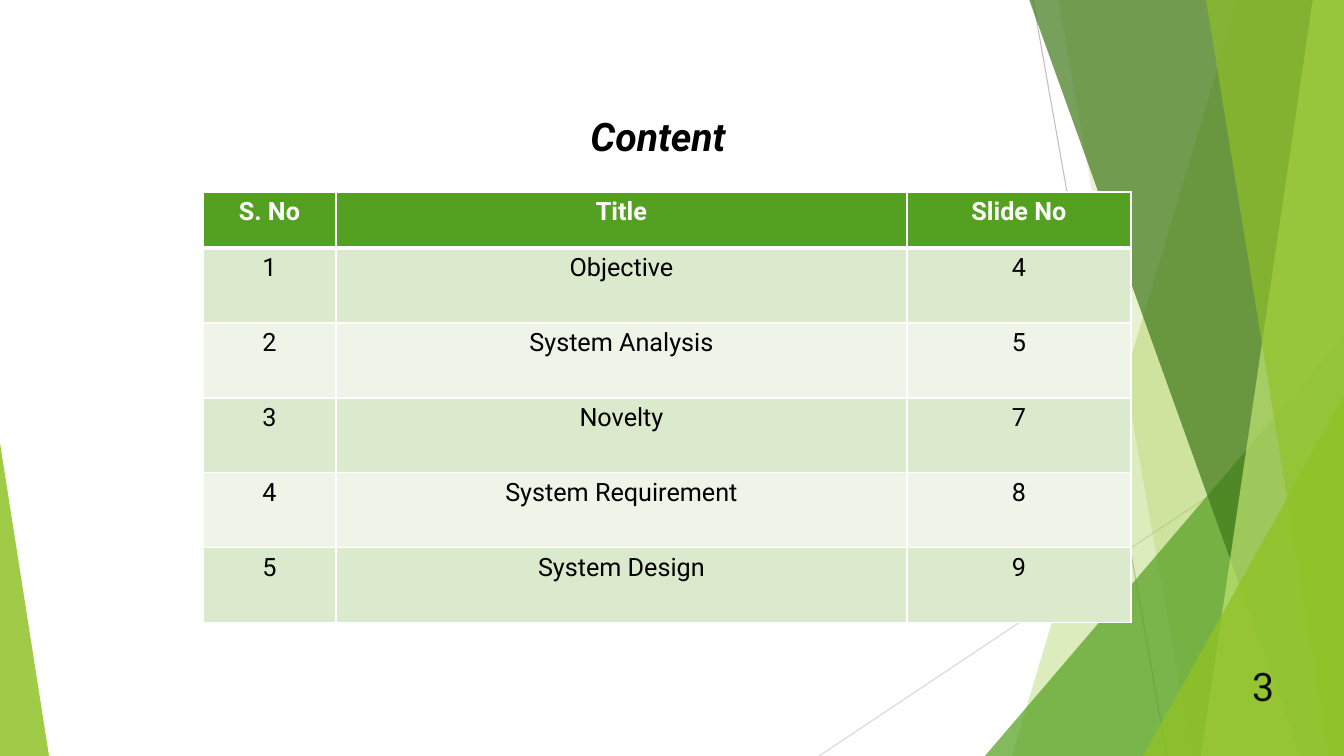
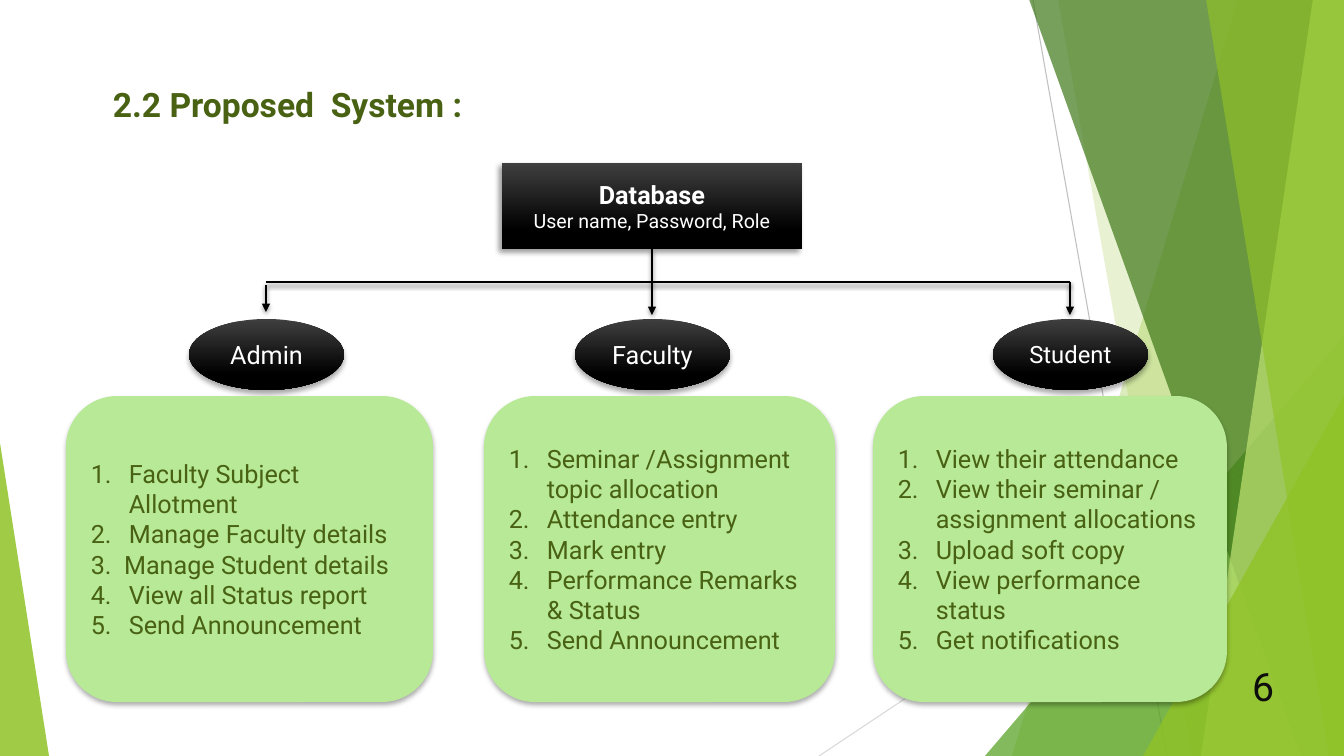
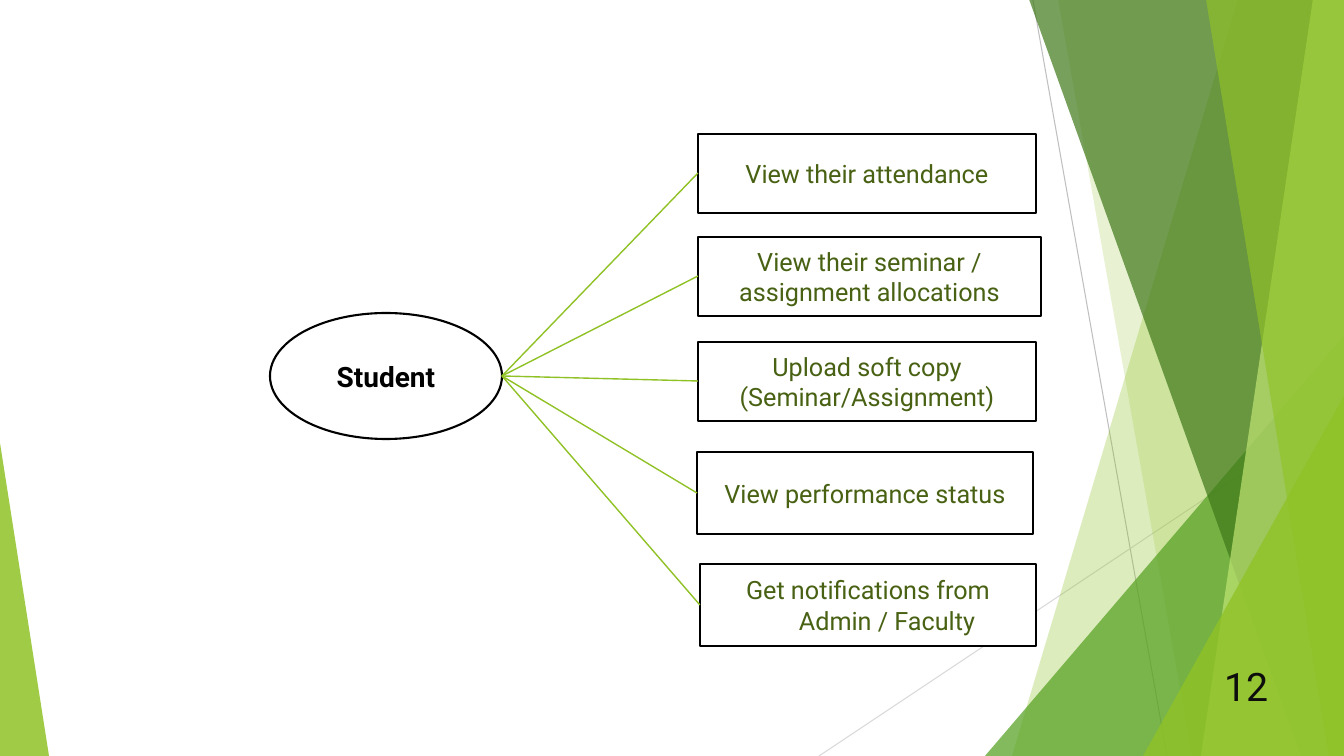
"""Builds three slides on a student seminar system: contents, proposed system and student tasks."""
from lxml import etree
from pptx import Presentation
from pptx import util as u
from pptx.dml.color import RGBColor
from pptx.enum import shapes, text
from pptx.oxml.ns import qn


class Theme:
    font = "Roboto"
    white, black, ink = "FFFFFF", "000000", "0D0D0D"
    lime, green, forest, pale = "90C226", "54A021", "3F7819", "C0E474"
    olive, card = "486113", "B7E996"
    bands = ("EEF4E8", "DBE9CD")
    fade = ((0, "3F3F3F"), (0.78, "000000"))
    big, head, label, body, small = 28, 24, 20, 18, 14


SCALE = 914400 / 100.8
WIDE, HIGH = 1344, 756
KIND = shapes.MSO_SHAPE
MID, RIGHT, LEFT = text.PP_ALIGN.CENTER, text.PP_ALIGN.RIGHT, text.PP_ALIGN.LEFT
HANG = 38

RAYS = [((1033, 0), (1167, HIGH), "BFBFBF"), ((WIDE, 406), (819, HIGH), "D9D9D9")]
# Two numbers give the top and bottom of a band's left edge; five give a triangle's box and apex.
FACETS = [
    ((1238, 1012), Theme.lime, 30),
    ((1058, 1192), Theme.lime, 20),
    ((985, 336, 359, 420, 1), Theme.green, 72),
    ((1029, 1301), Theme.forest, 70),
    ((1313, 1201), Theme.pale, 70),
    ((1206, 1329), Theme.lime, 65),
    ((1143, 396, 201, 360, 1), Theme.lime, 80),
    ((0, 443, 49, 313, 0), Theme.lime, 85),
]

TOPICS = [
    ("S. No", "Title", "Slide No"),
    ("1", "Objective", "4"),
    ("2", "System Analysis", "5"),
    ("3", "Novelty", "7"),
    ("4", "System Requirement", "8"),
    ("5", "System Design", "9"),
]
COLS, ROWS = (133, 571, 224), (56, 75, 75, 75, 75, 75)

STORE = ["Database", "User name, Password, Role"]
RAIL = 282
ROLES = [
    ("Admin", 18, 189, (285, 312), (66, 367), [
        "Faculty Subject Allotment", "Manage Faculty details", "3.  Manage Student details",
        "View all Status report", "Send Announcement"]),
    ("Faculty", 18, 575, (249, 315), (484, 351), [
        "Seminar /Assignment topic allocation", "Attendance entry", "Mark entry",
        "Performance Remarks & Status", "Send Announcement"]),
    ("Student", 17, 993, (RAIL, 315), (873, 354), [
        "View their attendance", "View their seminar / assignment allocations",
        "Upload soft copy", "View performance status", "Get notifications"]),
]

ACTOR = (270, 313, 232, 126)
TASKS = [
    ((698, 134, 338, 79), ["View their attendance"]),
    ((698, 237, 343, 79), ["View their seminar /", "assignment allocations"]),
    ((698, 342, 338, 79), ["Upload soft copy", "(Seminar/Assignment)"]),
    ((697, 452, 336, 82), ["View performance status"]),
    ((700, 564, 336, 82), ["Get notifications from Admin / Faculty"]),
]


def px(*nums):
    return [u.Emu(round(n * SCALE)) for n in nums]


def rgb(tone):
    return RGBColor.from_string(tone)


def node(parent, tag, **attrs):
    return etree.SubElement(parent, qn(tag), {k: str(v) for k, v in attrs.items()})


def tint(parent, tone, alpha=None):
    clr = node(parent, "a:srgbClr", val=tone)
    if alpha is not None:
        node(clr, "a:alpha", val=alpha * 1000)


def shade(item, alpha=0, blur=0, dist=0, angle=90):
    """Replace the inherited shadow with the given one, or with none."""
    effects = node(item.element.spPr, "a:effectLst")
    if alpha:
        shadow = node(effects, "a:outerShdw", blurRad=u.Pt(blur), dist=u.Pt(dist),
                      dir=angle * 60000, algn="ctr", rotWithShape=0)
        tint(shadow, Theme.black, alpha)


def paint(item, tone=None, edge=None, shadow=()):
    if tone:
        item.fill.solid()
        item.fill.fore_color.rgb = rgb(tone)
    else:
        item.fill.gradient()
        item.fill.gradient_angle = 270
        for stop, (place, hue) in zip(item.fill.gradient_stops, Theme.fade):
            stop.position = place
            stop.color.rgb = rgb(hue)
    if edge:
        item.line.color.rgb = rgb(edge)
        item.line.width = u.Pt(1.5)
    else:
        item.line.fill.background()
    shade(item, *shadow)


def style(para, size, tone, bold=False, slant=False, align=MID):
    para.alignment = align
    for run in para.runs:
        font = run.font
        font.name, font.size, font.bold, font.italic = Theme.font, u.Pt(size), bold, slant
        font.color.rgb = rgb(tone)


def write(frame, lines, *args, **kinds):
    frame.word_wrap = True
    frame.text = "\n".join(lines)
    for para in frame.paragraphs:
        style(para, *args, **kinds)


def indent(para):
    props = para._p.get_or_add_pPr()
    step = px(HANG)[0]
    props.set("marL", str(step))
    props.set("indent", str(-step))
    return props


def number(frame):
    """Number the paragraphs, restarting after one whose number is typed."""
    first = 1
    for i, para in enumerate(frame.paragraphs):
        props = indent(para)
        if para.text[0].isdigit():
            first = i + 2
        else:
            node(props, "a:buAutoNum", type="arabicPeriod", startAt=first)


def label(slide, box, line, *args, **kinds):
    frame = slide.shapes.add_textbox(*px(*box)).text_frame
    write(frame, [line], *args, **kinds)
    return frame


def block(slide, kind, box, **looks):
    item = slide.shapes.add_shape(kind, *px(*box))
    paint(item, **looks)
    return item


def link(slide, start, end, tone, width, arrow=False, shadow=()):
    item = slide.shapes.add_connector(shapes.MSO_CONNECTOR.STRAIGHT, *px(*start, *end))
    item.line.color.rgb = rgb(tone)
    item.line.width = u.Pt(width)
    if arrow:
        node(item.line._get_or_add_ln(), "a:tailEnd", type="triangle")
    shade(item, *shadow)
    return item


def facet(slide, form, tone, alpha):
    if len(form) == 2:
        top, low = form
        pen = slide.shapes.build_freeform(top, -1, scale=SCALE)
        pen.add_line_segments([(WIDE, -1), (WIDE, HIGH), (low, HIGH)], close=True)
        item = pen.convert_to_shape()
    else:
        item = slide.shapes.add_shape(KIND.ISOSCELES_TRIANGLE, *px(*form[:4]))
        item.adjustments[0] = form[4]
    paint(item, tone)
    node(item.element.spPr.find(".//" + qn("a:srgbClr")), "a:alpha", val=alpha * 1000)
    return item


def adorn(layout, slide):
    """Draw the backdrop and hand it over to the layout that all slides share."""
    parts = [link(slide, *ray, 0.75) for ray in RAYS]
    parts += [facet(slide, *item) for item in FACETS]
    for part in parts:
        layout.shapes.element.append(part.element)


def page(slide, num, width=338):
    frame = label(slide, (946, 666, width, 40), num, Theme.big, Theme.ink, align=RIGHT)
    frame.vertical_anchor = text.MSO_ANCHOR.MIDDLE


def border(cell, row):
    props = cell._tc.get_or_add_tcPr()
    widths = {"L": 1, "R": 1, "T": 3 if row == 1 else 1, "B": 1 if row else 3}
    for i, (side, width) in enumerate(widths.items()):
        line = node(props, "a:ln" + side, w=u.Pt(width))
        tint(node(line, "a:solidFill"), Theme.white)
        props.insert(i, line)


def contents(slide):
    frame = slide.shapes.add_table(len(ROWS), len(COLS), *px(203, 192, sum(COLS), sum(ROWS)))
    table = frame.table
    for col, width in zip(table.columns, px(*COLS)):
        col.width = width
    for r, (row, high) in enumerate(zip(table.rows, px(*ROWS))):
        row.height = high
        for cell, line in zip(row.cells, TOPICS[r]):
            cell.fill.solid()
            cell.fill.fore_color.rgb = rgb(Theme.bands[r % 2] if r else Theme.green)
            border(cell, r)
            write(cell.text_frame, [line], Theme.body,
                  Theme.black if r else Theme.white, bold=not r)
    label(slide, (190, 107, 936, 57), "Content", Theme.big, Theme.black, bold=True, slant=True)
    page(slide, "3")


def system(slide):
    label(slide, (103, 79, 1045, 50), "2.2 Proposed  System :", Theme.head, Theme.olive,
          bold=True, align=LEFT)
    store = block(slide, KIND.RECTANGLE, (502, 163, 300, 86), shadow=(40, 4, 3, 135))
    write(store.text_frame, STORE, Theme.body, Theme.white, bold=True)
    style(store.text_frame.paragraphs[1], Theme.small, Theme.white)
    wire = dict(tone=Theme.black, width=2, shadow=(35, 3, 2))
    mids = []
    for name, size, left, (start, end), (edge, width), duties in ROLES:
        role = block(slide, KIND.OVAL, (left, 319, 155, 71), shadow=(35, 4, 3))
        write(role.text_frame, [name], size, Theme.white)
        mids.append(left + 77)
        link(slide, (mids[-1], start), (mids[-1], end), arrow=True, **wire)
        card = block(slide, KIND.ROUNDED_RECTANGLE, (edge, 396, width, 306),
                     tone=Theme.card, shadow=(32, 3.5, 2.2))
        write(card.text_frame, duties, Theme.body, Theme.olive, align=LEFT)
        number(card.text_frame)
    link(slide, (mids[0], RAIL), (mids[-1], RAIL), **wire)
    page(slide, "6")


def tasks(slide):
    left, top, width, high = ACTOR
    hub = (left + width, top + high // 2)
    plain = dict(tone=Theme.white, edge=Theme.black)
    actor = block(slide, KIND.OVAL, ACTOR, **plain)
    write(actor.text_frame, ["Student"], Theme.label, Theme.black, bold=True)
    for box, lines in TASKS:
        task = block(slide, KIND.RECTANGLE, box, **plain)
        write(task.text_frame, lines, Theme.body, Theme.olive)
        for para in task.text_frame.paragraphs:
            indent(para)
        link(slide, hub, (box[0], box[1] + box[3] // 2), Theme.lime, 1)
    page(slide, "12", 332)


deck = Presentation()
deck.slide_width, deck.slide_height = px(WIDE, HIGH)
blank = deck.slide_layouts[6]
for i, draw in enumerate((contents, system, tasks)):
    sheet = deck.slides.add_slide(blank)
    if i == 0:
        adorn(blank, sheet)
    draw(sheet)
deck.save("out.pptx")
